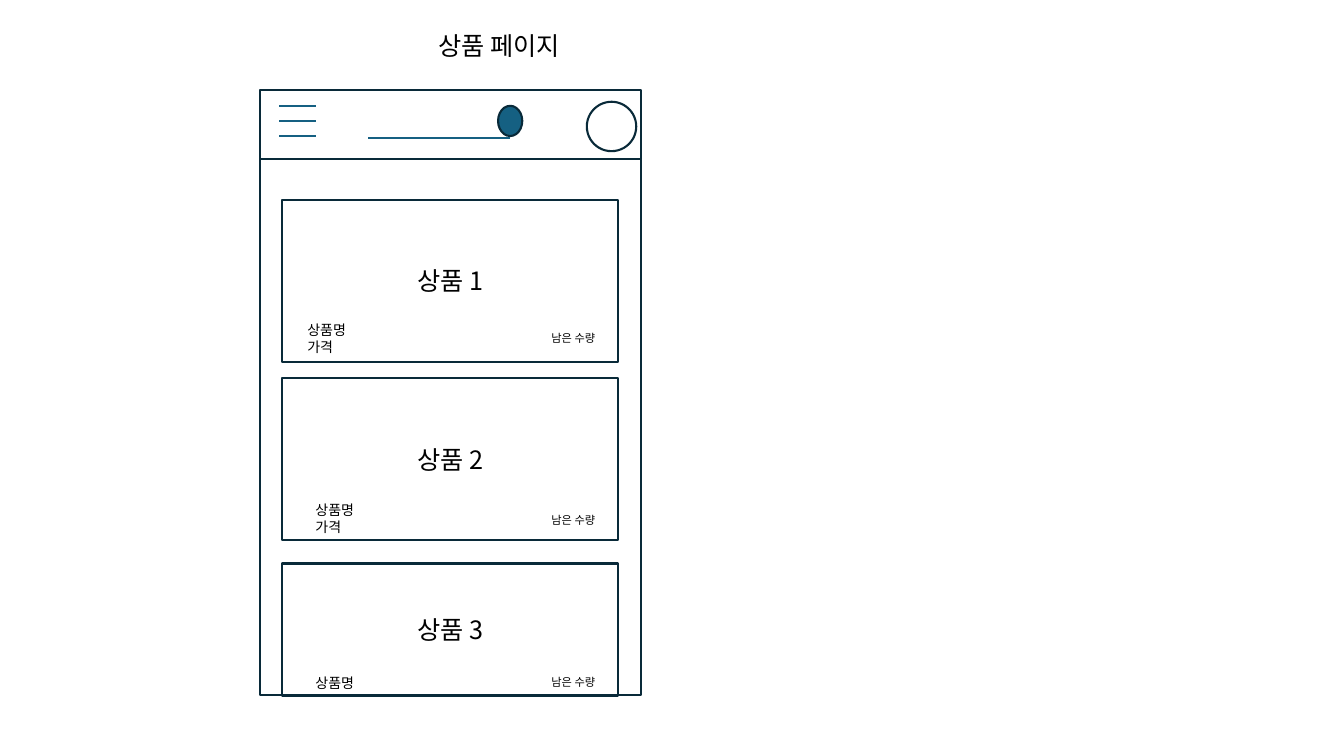
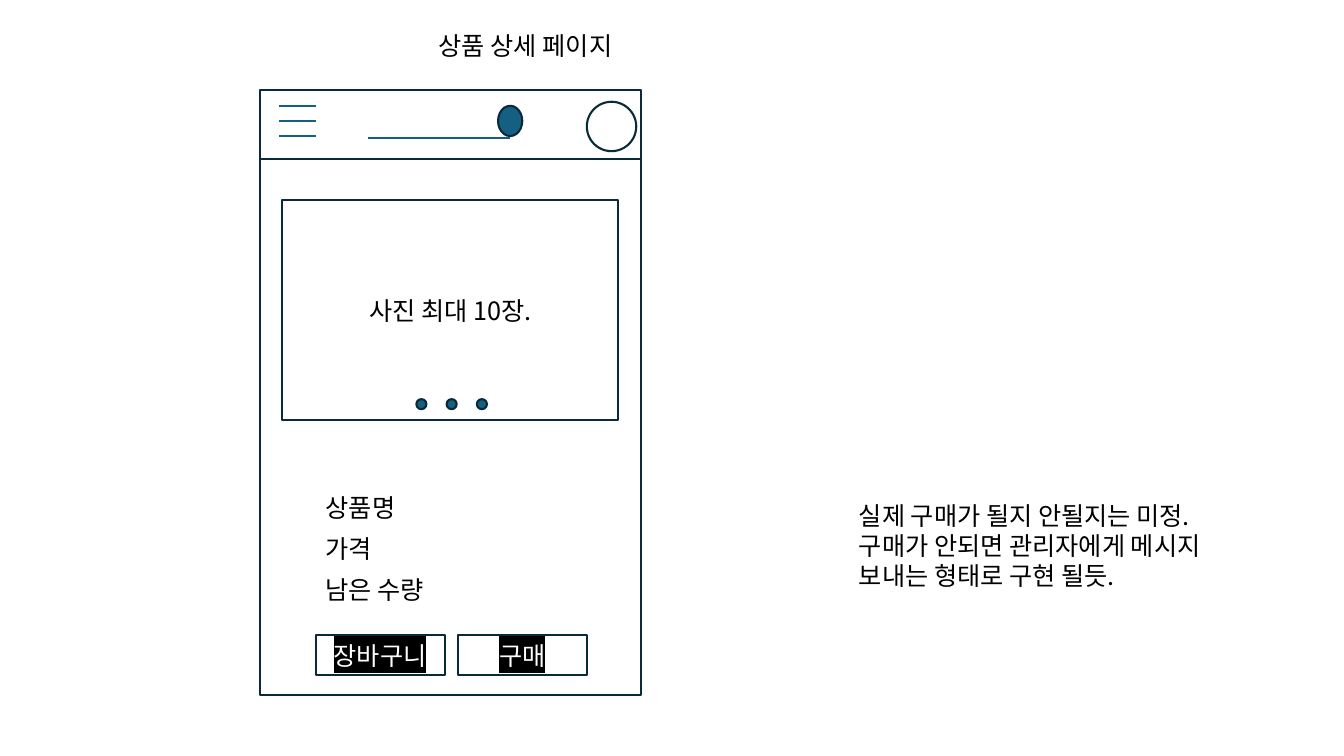
from dataclasses import dataclass

from lxml import etree
from pptx import Presentation
from pptx import util as u
from pptx.dml.color import RGBColor
from pptx.enum import shapes, text
from pptx.oxml.ns import qn

RECT = shapes.MSO_SHAPE.RECTANGLE
OVAL = shapes.MSO_SHAPE.OVAL


@dataclass(frozen=True)
class Theme:
    font: str = "Noto Sans CJK KR"
    white: str = "FFFFFF"
    black: str = "000000"
    edge: str = "092A39"
    blue: str = "156082"
    line: float = 1.5
    main: int = 18
    label: int = 10
    small: int = 8


T = Theme()
PHONE = (2.58, 0.9, 3.78, 6)


def color(code):
    return RGBColor.from_string(code)


def box(left, top, width, height):
    return [u.Inches(n) for n in (left, top, width, height)]


def write(frame, words, size=T.main, ink=T.black, mark=None, gap=0,
          align=text.PP_ALIGN.LEFT, anchor=text.MSO_ANCHOR.TOP, wrap=False):
    """Fill a frame, one paragraph per line; mark is a highlight colour."""
    frame.word_wrap = wrap
    frame.auto_size = text.MSO_AUTO_SIZE.NONE
    frame.vertical_anchor = anchor
    for i, line in enumerate(words.split("\n")):
        para = frame.paragraphs[0] if i == 0 else frame.add_paragraph()
        para.alignment = align
        para.line_spacing = 1.0
        para.space_before, para.space_after = u.Pt(0), u.Pt(gap)
        props = para._p.get_or_add_pPr()
        props.set("marL", "0")
        props.set("indent", "0")
        etree.SubElement(props, qn("a:buNone"))
        run = para.add_run()
        run.text = line
        run.font.size = u.Pt(size)
        run.font.color.rgb = color(ink)
        run.font.name = T.font
        latin = run._r.rPr.find(qn("a:latin"))
        east = etree.Element(qn("a:ea"), typeface=T.font)
        latin.addnext(east)
        if mark:
            glow = etree.Element(qn("a:highlight"))
            etree.SubElement(glow, qn("a:srgbClr"), val=mark)
            latin.addprevious(glow)


def label(slide, place, words, **style):
    write(slide.shapes.add_textbox(*box(*place)).text_frame, words, **style)


def shape(slide, kind, place, fill=T.white, words="", **style):
    item = slide.shapes.add_shape(kind, *box(*place))
    item.shadow.inherit = False
    if fill:
        item.fill.solid()
        item.fill.fore_color.rgb = color(fill)
    else:
        item.fill.background()
    item.line.color.rgb = color(T.edge)
    item.line.width = u.Pt(T.line)
    if words:
        write(item.text_frame, words, align=text.PP_ALIGN.CENTER,
              anchor=text.MSO_ANCHOR.MIDDLE, **style)


def rule(slide, left, right, y):
    item = slide.shapes.add_connector(
        shapes.MSO_CONNECTOR.STRAIGHT, *box(left, y, right, y))
    item.line.color.rgb = color(T.blue)
    item.line.width = u.Pt(T.line)
    etree.SubElement(item._element.spPr, qn("a:effectLst"))


def header(slide, left, top, width):
    """Top bar: menu lines, search field and profile circle."""
    shape(slide, RECT, (left, top, width, 0.69))
    for i in range(3):
        rule(slide, left + 0.19, left + 0.55, top + 0.16 + 0.15 * i)
    shape(slide, OVAL, (left + 3.24, top + 0.12, 0.49, 0.49))
    shape(slide, OVAL, (left + 2.36, top + 0.16, 0.24, 0.3), T.blue)
    rule(slide, left + 1.07, left + 2.48, top + 0.48)


def screen(deck, layout, title):
    """Add a slide with its title and an empty phone outline."""
    slide = deck.slides.add_slide(deck.slide_layouts[layout])
    head = slide.shapes.title
    head.left, head.top, head.width, head.height = box(4.25, 0.25, 2.15, 0.4)
    write(head.text_frame, title)
    left, top, width, height = PHONE
    shape(slide, RECT, PHONE)
    header(slide, left, top - 0.01, width)
    return slide


def card(slide, place, words, info, name, stock):
    """Product card; name and stock are label offsets from its corner."""
    left, top = place[:2]
    shape(slide, RECT, place, words=words)
    label(slide, (left + name[0], top + name[1], 0.62, 0.44), info,
          size=T.label)
    label(slide, (left + 2.57, top + stock, 0.69, 0.24), "남은 수량",
          size=T.small)


def gallery(slide, left, top, width, height):
    shape(slide, RECT, (left, top, width, height), words="사진 최대 10장.")
    for i in range(3):
        shape(slide, OVAL, (left + 1.33 + 0.3 * i, top + 1.98, 0.1, 0.1),
              T.blue)


def facts(slide, *place):
    body = slide.placeholders[1]
    body.left, body.top, body.width, body.height = box(*place)
    write(body.text_frame, "상품명\n가격\n남은 수량", gap=8)
    slide.shapes._spTree.append(body._element)


def buttons(slide, left, top):
    for i, words in enumerate(("장바구니", "구매")):
        shape(slide, RECT, (left + 1.41 * i, top, 1.28, 0.4), None, words,
              ink=T.white, mark=T.black)


def list_page(deck):
    slide = screen(deck, 5, "상품 페이지")
    left = PHONE[0] + 0.22
    rows = (
        (1.98, 1.61, "상품명\n가격", (0.15, 1.16), 1.26),
        (3.75, 1.61, "상품명\n가격", (0.23, 1.18), 1.29),
        (5.59, 1.31, "상품명", (0.23, 1.05), 1.06),
    )
    for i, (top, height, info, name, stock) in enumerate(rows, 1):
        card(slide, (left, top, 3.33, height), f"상품 {i}", info, name, stock)


def detail_page(deck):
    slide = screen(deck, 1, "상품 상세 페이지")
    left, top = PHONE[:2]
    gallery(slide, left + 0.22, top + 1.08, 3.33, 2.19)
    facts(slide, left + 0.55, top + 3.93, 1.3, 1.23)
    buttons(slide, left + 0.55, top + 5.4)
    label(slide, (8.42, 4.91, 4.09, 1.01),
          "실제 구매가 될지 안될지는 미정.\n"
          "구매가 안되면 관리자에게 메시지\n"
          "보내는 형태로 구현 될듯.")


def main():
    deck = Presentation()
    deck.slide_width, deck.slide_height = u.Inches(13.33), u.Inches(7.5)
    list_page(deck)
    detail_page(deck)
    deck.save("out.pptx")


if __name__ == "__main__":
    main()
